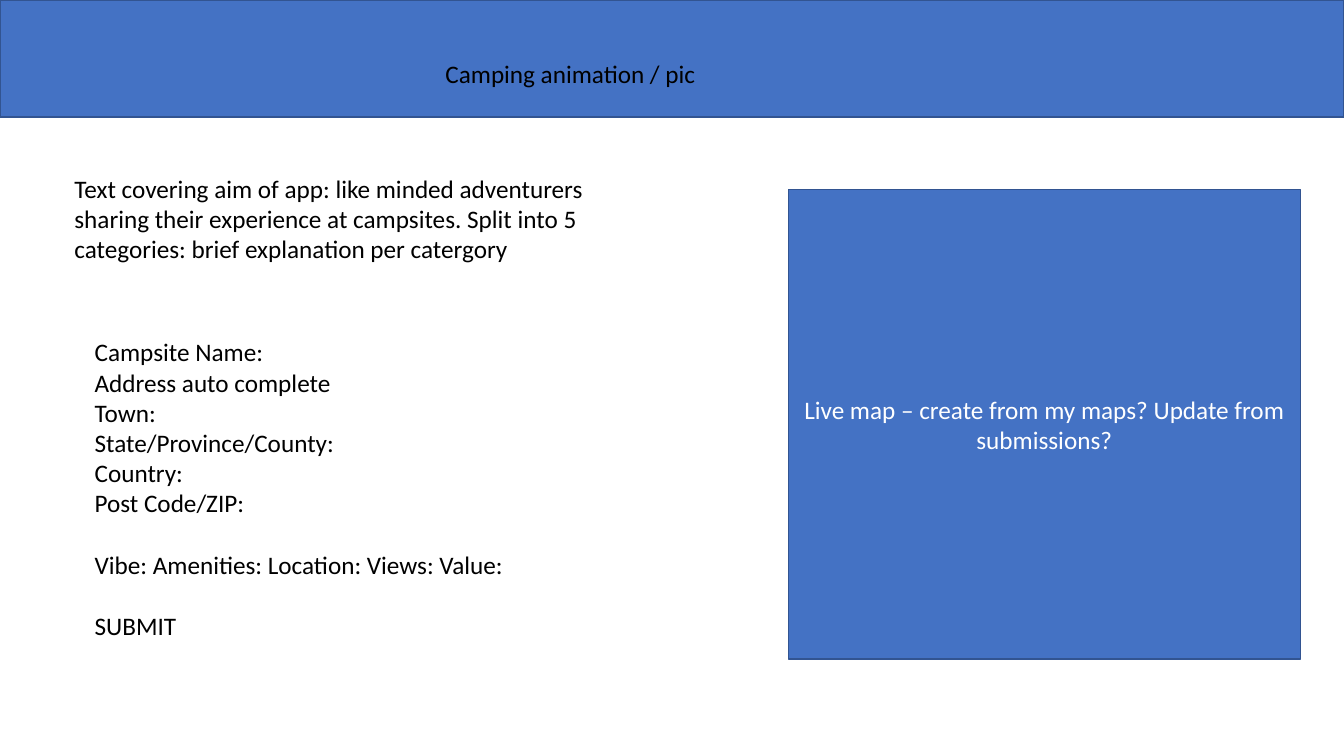
from dataclasses import dataclass

from pptx import Presentation
from pptx.dml.color import RGBColor
from pptx.enum.shapes import MSO_SHAPE
from pptx.enum.text import MSO_ANCHOR, MSO_AUTO_SIZE, PP_ALIGN
from pptx.shapes.autoshape import Shape
from pptx.slide import Slide
from pptx.text.text import TextFrame
from pptx.util import Inches, Pt

FONT = "Calibri"
SIZE = 18
LINE_GAP = 22
BLUE = "4472C4"
OUTLINE = "325491"
BLACK = "000000"
WHITE = "FFFFFF"

prs = Presentation()
prs.slide_width = Inches(13.33)
prs.slide_height = Inches(7.5)
COL = prs.slide_width / 100
ROW = prs.slide_height / 100


@dataclass(frozen=True)
class Box:
    col: float
    row: float
    cols: float
    rows: float

    def emu(self) -> tuple[int, int, int, int]:
        return (round(self.col * COL), round(self.row * ROW),
                round(self.cols * COL), round(self.rows * ROW))


@dataclass(frozen=True)
class Panel:
    box: Box
    text: str = ""


@dataclass(frozen=True)
class Note:
    box: Box
    groups: tuple[tuple[str, ...], ...]


def rgb(value: str) -> RGBColor:
    return RGBColor.from_string(value)


def add_text(tf: TextFrame, text: str, *, first: bool = True, color: str = BLACK,
             align: PP_ALIGN = PP_ALIGN.LEFT, before: float = 0) -> None:
    p = tf.paragraphs[0] if first else tf.add_paragraph()
    p.alignment = align
    p.space_before = Pt(before)
    r = p.add_run()
    r.text = text
    r.font.name = FONT
    r.font.size = Pt(SIZE)
    r.font.color.rgb = rgb(color)


def draw_panel(s: Slide, panel: Panel) -> Shape:
    sp = s.shapes.add_shape(MSO_SHAPE.RECTANGLE, *panel.box.emu())
    sp.shadow.inherit = False
    sp.fill.solid()
    sp.fill.fore_color.rgb = rgb(BLUE)
    sp.line.color.rgb = rgb(OUTLINE)
    sp.line.width = Pt(1)
    if panel.text:
        tf = sp.text_frame
        tf.word_wrap = True
        tf.vertical_anchor = MSO_ANCHOR.MIDDLE
        add_text(tf, panel.text, color=WHITE, align=PP_ALIGN.CENTER)
    return sp


def draw_note(s: Slide, note: Note) -> Shape:
    sp = s.shapes.add_textbox(*note.box.emu())
    tf = sp.text_frame
    tf.word_wrap = True
    tf.auto_size = MSO_AUTO_SIZE.SHAPE_TO_FIT_TEXT
    for g, group in enumerate(note.groups):
        for i, line in enumerate(group):
            add_text(tf, line, first=g == i == 0,
                     before=LINE_GAP if g and i == 0 else 0)
    return sp


PANELS = (
    Panel(Box(0, 0, 100, 15.47)),
    Panel(Box(58.65, 25.07, 38.1, 62.13),
          "Live map – create from my maps? Update from submissions?"),
)
NOTES = (
    Note(Box(32.4, 7.07, 26.33, 5.33), (("Camping animation / pic",),)),
    Note(Box(4.8, 22.27, 40.05, 13.47), ((
        "Text covering aim of app: like minded adventurers sharing their "
        "experience at campsites. Split into 5 categories: "
        "brief explanation per catergory",),)),
    Note(Box(6.3, 43.87, 46.58, 45.73), (
        ("Campsite Name:", "Address auto complete", "Town:",
         "State/Province/County:", "Country:", "Post Code/ZIP:"),
        ("Vibe: Amenities: Location: Views: Value:",),
        ("SUBMIT",),
    )),
)

s = prs.slides.add_slide(prs.slide_layouts[6])
for panel in PANELS:
    draw_panel(s, panel)
for note in NOTES:
    draw_note(s, note)

prs.save("out.pptx")
